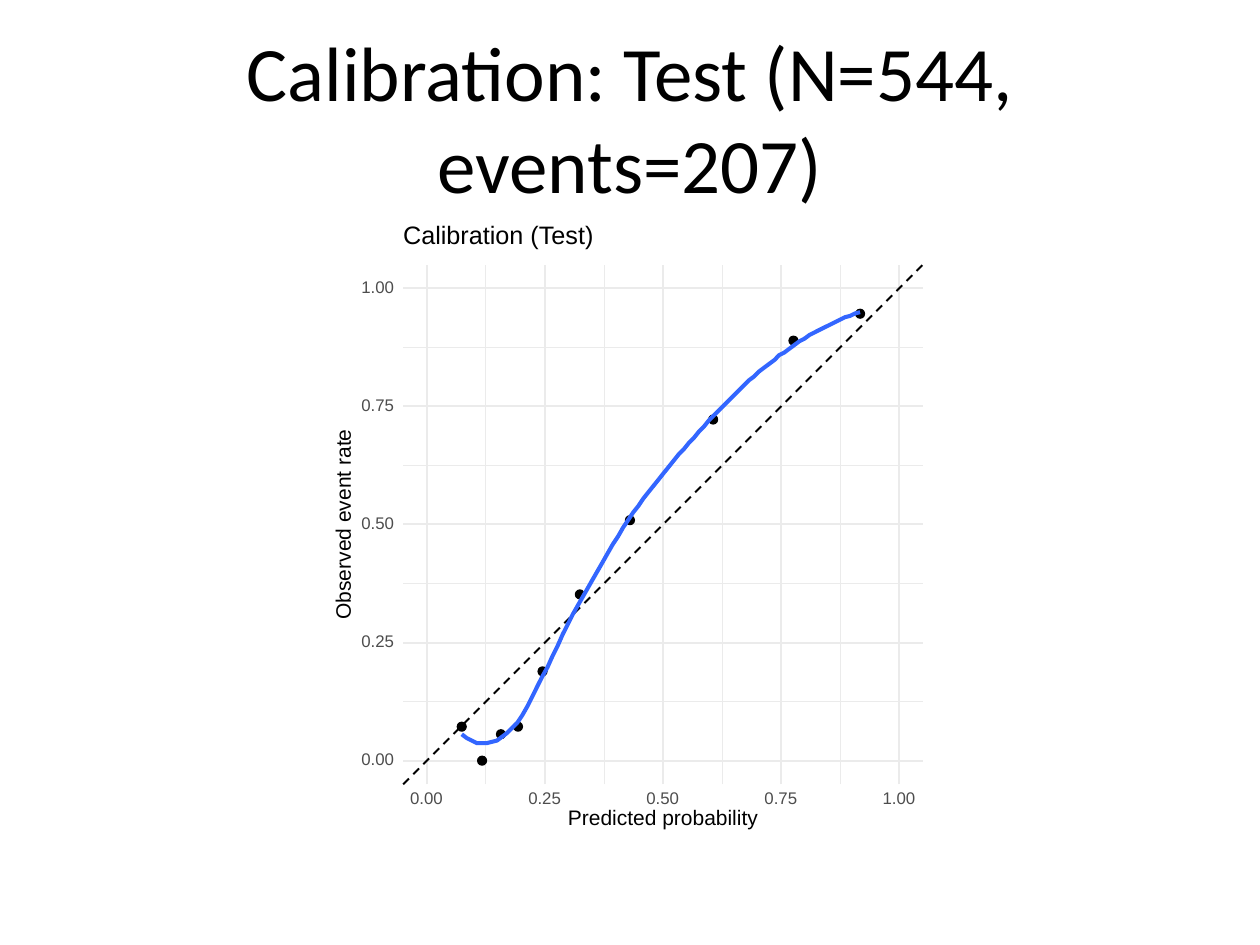
from dataclasses import dataclass
from typing import NamedTuple

from lxml.etree import SubElement
from pptx import Presentation
from pptx.dml.color import RGBColor
from pptx.enum.dml import MSO_LINE
from pptx.enum.shapes import MSO_CONNECTOR, MSO_SHAPE
from pptx.enum.text import MSO_ANCHOR, PP_ALIGN
from pptx.oxml.ns import qn
from pptx.shapes.autoshape import Shape
from pptx.shapes.shapetree import GroupShapes
from pptx.util import Inches, Pt

SLIDE_WIDTH = Inches(10)
SLIDE_HEIGHT = Inches(7.5)


@dataclass(frozen=True)
class Theme:
    ink: RGBColor = RGBColor(0x00, 0x00, 0x00)
    paper: RGBColor = RGBColor(0xFF, 0xFF, 0xFF)
    grid: RGBColor = RGBColor(0xEB, 0xEB, 0xEB)
    tick: RGBColor = RGBColor(0x4D, 0x4D, 0x4D)
    curve: RGBColor = RGBColor(0x33, 0x66, 0xFF)
    title_font: str = "Calibri"
    chart_font: str = "Arial"
    title_size: float = 44
    heading_size: float = 14.4
    axis_size: float = 12
    tick_size: float = 9.6
    minor_line: float = 0.58
    major_line: float = 1.16
    point_line: float = 0.77
    curve_line: float = 2.33
    frame_line: float = 0.75


THEME = Theme()


def across(percent: float) -> int:
    return round(SLIDE_WIDTH * percent / 100)


def down(percent: float) -> int:
    return round(SLIDE_HEIGHT * percent / 100)


@dataclass(frozen=True)
class Plot:
    left: int = across(32)
    top: int = down(28)
    unit: int = down(50)
    low: float = -0.05
    high: float = 1.05

    def x(self, value: float) -> int:
        return round(self.left + (value - self.low) * self.unit)

    def y(self, value: float) -> int:
        return round(self.top + (self.high - value) * self.unit)


PLOT = Plot()


class Point(NamedTuple):
    predicted: float
    observed: float


class Label(NamedTuple):
    text: str
    center_x: int
    center_y: int
    width: int
    size: float
    color: RGBColor
    rotation: float = 0


POINTS_IN_PERCENT = [
    Point(7.4, 7.2), Point(11.7, 0), Point(15.7, 5.6), Point(19.3, 7.2),
    Point(24.5, 18.9), Point(32.4, 35.2), Point(43, 50.9), Point(60.6, 72.2),
    Point(77.6, 88.9), Point(91.7, 94.6),
]
CURVE_STEPS_PER_UNIT = 375
CURVE_RISES = [
    21, 18, 16, 14, 14, 14, 15, 16, 19, 22, 26, 30, 36, 43, 51, 59,
    67, 74, 83, 91, 100, 108, 116, 123, 130, 137, 144, 151, 158, 165, 172, 178,
    185, 191, 197, 202, 208, 213, 218, 223, 228, 233, 238, 243, 247, 252, 256, 261,
    265, 270, 274, 278, 282, 286, 290, 294, 298, 302, 305, 309, 312, 315, 318, 322,
    324, 327, 330, 333, 335, 338, 340, 342, 344, 346, 348, 350, 352, 353, 355, 356,
]
MAJOR_TICKS = [step / 4 for step in range(5)]
MINOR_TICKS = [tick + 0.125 for tick in MAJOR_TICKS[:-1]]


def add_line(shapes: GroupShapes, start: Point, end: Point, color: RGBColor,
             width: float, dashed: bool = False) -> None:
    line = shapes.add_connector(
        MSO_CONNECTOR.STRAIGHT, PLOT.x(start.predicted), PLOT.y(start.observed),
        PLOT.x(end.predicted), PLOT.y(end.observed))
    line.line.color.rgb = color
    line.line.width = Pt(width)
    if dashed:
        line.line.dash_style = MSO_LINE.DASH
    SubElement(line._element.spPr, qn("a:effectLst"))


def add_grid(shapes: GroupShapes, ticks: list[float], width: float) -> None:
    for tick in ticks:
        add_line(shapes, Point(PLOT.low, tick), Point(PLOT.high, tick), THEME.grid, width)
    for tick in ticks:
        add_line(shapes, Point(tick, PLOT.low), Point(tick, PLOT.high), THEME.grid, width)


def add_filled(shapes: GroupShapes, preset: MSO_SHAPE, left: int, top: int,
               width: int, height: int, color: RGBColor, line_width: float) -> Shape:
    shape = shapes.add_shape(preset, left, top, width, height)
    shape.shadow.inherit = False
    shape.fill.solid()
    shape.fill.fore_color.rgb = color
    shape.line.color.rgb = color
    shape.line.width = Pt(line_width)
    return shape


def add_point(shapes: GroupShapes, point: Point) -> None:
    diameter = across(0.7)
    add_filled(shapes, MSO_SHAPE.OVAL,
               PLOT.x(point.predicted / 100) - diameter // 2,
               PLOT.y(point.observed / 100) - diameter // 2,
               diameter, diameter, THEME.ink, THEME.point_line)


def add_curve(shapes: GroupShapes) -> None:
    first = POINTS_IN_PERCENT[0].predicted / 100
    last = POINTS_IN_PERCENT[-1].predicted / 100
    step = (last - first) / (len(CURVE_RISES) - 1)
    vertices = [(PLOT.x(first + index * step), PLOT.y(rise / CURVE_STEPS_PER_UNIT))
                for index, rise in enumerate(CURVE_RISES)]
    builder = shapes.build_freeform(*vertices[0])
    builder.add_line_segments(vertices[1:], close=False)
    curve = builder.convert_to_shape()
    curve.shadow.inherit = False
    curve.fill.background()
    curve.line.color.rgb = THEME.curve
    curve.line.width = Pt(THEME.curve_line)


def add_label(shapes: GroupShapes, label: Label) -> None:
    height = Pt(label.size * 0.8)
    box = shapes.add_textbox(label.center_x - label.width // 2,
                             label.center_y - height // 2, label.width, height)
    box.rotation = label.rotation
    frame = box.text_frame
    frame.margin_left = frame.margin_right = frame.margin_top = frame.margin_bottom = 0
    frame.vertical_anchor = MSO_ANCHOR.MIDDLE
    frame.word_wrap = False
    para = frame.paragraphs[0]
    para.line_spacing = Pt(label.size)
    span = para.add_run()
    span.text = label.text
    span.font.name = THEME.chart_font
    span.font.size = Pt(label.size)
    span.font.color.rgb = label.color


def chart_labels() -> list[Label]:
    tick_width = across(2.65)
    rows = [Label(f"{tick:.2f}", across(30), PLOT.y(tick), tick_width,
                  THEME.tick_size, THEME.tick) for tick in MAJOR_TICKS]
    columns = [Label(f"{tick:.2f}", PLOT.x(tick), down(84.6), tick_width,
                     THEME.tick_size, THEME.tick) for tick in MAJOR_TICKS]
    axis_width = across(15.1)
    return rows + columns + [
        Label("Predicted probability", PLOT.x(0.5), down(86.7), axis_width,
              THEME.axis_size, THEME.ink),
        Label("Observed event rate", across(27.35), PLOT.y(0.5), axis_width,
              THEME.axis_size, THEME.ink, 270),
        Label("Calibration (Test)", across(39.65), down(25.1), across(15.3),
              THEME.heading_size, THEME.ink),
    ]


def format_title(title: Shape) -> None:
    title.left, title.top = across(5), down(4)
    title.width, title.height = across(90), Inches(1.25)
    title.text_frame.vertical_anchor = MSO_ANCHOR.MIDDLE
    para = title.text_frame.paragraphs[0]
    para.alignment = PP_ALIGN.CENTER
    span = para.add_run()
    span.text = "Calibration: Test (N=544, events=207)"
    span.font.name = THEME.title_font
    span.font.size = Pt(THEME.title_size)
    span.font.color.rgb = THEME.ink


def main() -> None:
    deck = Presentation()
    deck.slide_width, deck.slide_height = SLIDE_WIDTH, SLIDE_HEIGHT
    page = deck.slides.add_slide(deck.slide_layouts.get_by_name("Title Only"))
    format_title(page.shapes.title)
    shapes = page.shapes.add_group_shape().shapes
    add_filled(shapes, MSO_SHAPE.RECTANGLE, across(5), down(23.33),
               across(90), down(66), THEME.paper, THEME.frame_line)
    panel = add_filled(shapes, MSO_SHAPE.RECTANGLE, across(25.9), down(23.33),
                       across(48.2), down(66), THEME.paper, THEME.frame_line)
    panel.line.fill.background()
    add_grid(shapes, MINOR_TICKS, THEME.minor_line)
    add_grid(shapes, MAJOR_TICKS, THEME.major_line)
    add_line(shapes, Point(PLOT.low, PLOT.low), Point(PLOT.high, PLOT.high),
             THEME.ink, THEME.major_line, dashed=True)
    for point in POINTS_IN_PERCENT:
        add_point(shapes, point)
    add_curve(shapes)
    for label in chart_labels():
        add_label(shapes, label)
    deck.save("out.pptx")


if __name__ == "__main__":
    main()
